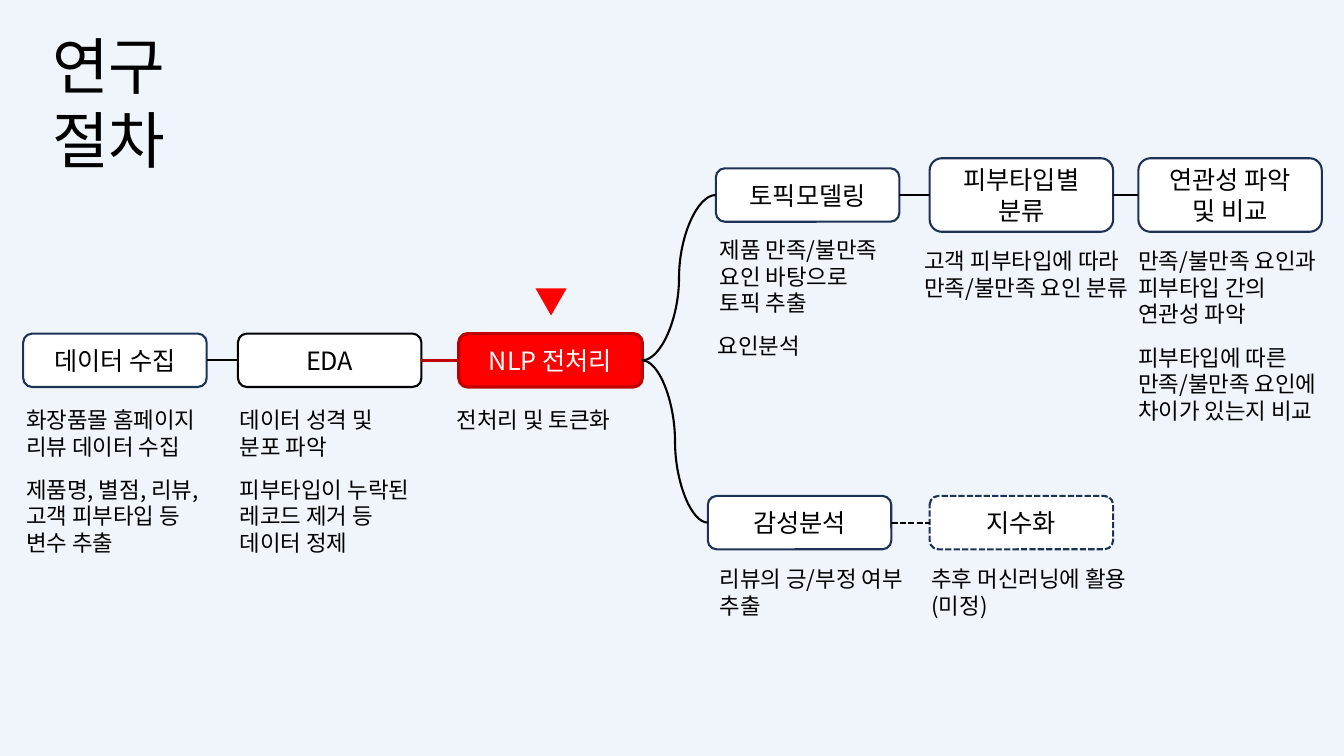
import pptx
import pptx.dml.color
import pptx.enum.dml
import pptx.enum.shapes
import pptx.enum.text
import pptx.oxml
import pptx.oxml.ns
import pptx.util
from pptx.util import Inches

FONT = "Noto Sans CJK KR"
INK, WHITE, NAVY, RED, DARK_RED = "000000", "FFFFFF", "1E3256", "FF0000", "C00000"
STEP_W, STEP_H = 1.82, 0.53
MAIN_Y, TOPIC_Y, SENTIMENT_Y = 3.31, 1.67, 4.92
DASH = pptx.enum.dml.MSO_LINE.SQUARE_DOT
SHAPES = pptx.enum.shapes.MSO_SHAPE
CURVE = pptx.enum.shapes.MSO_CONNECTOR.CURVE
STRAIGHT = pptx.enum.shapes.MSO_CONNECTOR.STRAIGHT

# name: left, top, height, label, formats that differ from the usual step
STEPS = {
    "collect": (0.23, MAIN_Y, STEP_H, "데이터 수집", {}),
    "eda": (2.36, MAIN_Y, STEP_H, "EDA", {"line": INK}),
    "nlp": (4.55, MAIN_Y, STEP_H, "NLP 전처리",
            {"fill": RED, "line": DARK_RED, "width": 2.25, "ink": WHITE}),
    "topic": (7.1, TOPIC_Y, STEP_H, "토픽모델링", {}),
    "skin": (9.22, 1.57, 0.73, "피부타입별\n분류", {}),
    "relation": (11.29, 1.57, 0.73, "연관성 파악\n및 비교", {}),
    "sentiment": (7.02, SENTIMENT_Y, STEP_H, "감성분석", {}),
    "index": (9.22, SENTIMENT_Y, STEP_H, "지수화", {"dash": DASH}),
}

# from, to, kind, formats that differ from the usual link
LINKS = [
    ("collect", "eda", STRAIGHT, {}),
    ("eda", "nlp", STRAIGHT, {"line": DARK_RED, "width": 2.25}),
    ("topic", "skin", STRAIGHT, {}),
    ("skin", "relation", STRAIGHT, {}),
    ("sentiment", "index", STRAIGHT, {"dash": DASH}),
    ("nlp", "topic", CURVE, {}),
    ("nlp", "sentiment", CURVE, {}),
]

# left, top, height, text
NOTES = [
    (0.16, 3.98, 0.64, "화장품몰 홈페이지\n리뷰 데이터 수집"),
    (0.16, 4.67, 0.91, "제품명, 별점, 리뷰, \n고객 피부타입 등 \n변수 추출"),
    (2.28, 3.98, 0.64, "데이터 성격 및\n분포 파악"),
    (2.28, 4.67, 0.91, "피부타입이 누락된\n레코드 제거 등\n데이터 정제"),
    (4.43, 3.98, 0.37, "전처리 및 토큰화"),
    (7.04, 2.29, 0.91, "제품 만족/불만족 \n요인 바탕으로 \n토픽 추출"),
    (7.02, 3.25, 0.37, "요인분석"),
    (9.07, 2.4, 0.64, "고객 피부타입에 따라\n만족/불만족 요인 분류"),
    (11.19, 2.4, 0.91, "만족/불만족 요인과\n피부타입 간의 \n연관성 파악"),
    (11.19, 3.36, 0.91, "피부타입에 따른\n만족/불만족 요인에\n차이가 있는지 비교"),
    (7.04, 5.56, 0.64, "리뷰의 긍/부정 여부 \n추출"),
    (9.14, 5.56, 0.64, "추후 머신러닝에 활용\n(미정)"),
]


def color(value):
    return pptx.dml.color.RGBColor.from_string(value)


def apply(target, formats):
    for name, value in formats.items():
        setattr(target, name, value)


def paint(fill, value):
    fill.solid()
    fill.fore_color.rgb = color(value)


def draw_line(line, formats):
    paint(line.fill, formats["line"])
    line.width = pptx.util.Pt(formats["width"])
    if "dash" in formats:
        line.dash_style = formats["dash"]


def write(paragraph, text, size, ink=INK):
    paragraph.text = text
    for run in paragraph.runs:
        apply(run.font, {"name": FONT, "size": pptx.util.Pt(size)})
        run.font.color.rgb = color(ink)
        # Korean glyphs take the East Asian typeface
        east_asian = pptx.oxml.parse_xml(
            f'<a:ea {pptx.oxml.ns.nsdecls("a")} typeface="{FONT}"/>')
        run.font._element.append(east_asian)
    # Line breaks keep the height of the text around them
    for line_break in paragraph._p.findall(pptx.oxml.ns.qn("a:br")):
        line_break.append(pptx.oxml.parse_xml(
            f'<a:rPr {pptx.oxml.ns.nsdecls("a")} sz="{size * 100}"/>'))


def add_text(slide, left, top, width, height, paragraphs, size):
    box = slide.shapes.add_textbox(
        Inches(left), Inches(top), Inches(width), Inches(height))
    frame = box.text_frame
    apply(frame, {"word_wrap": True,
                  "auto_size": pptx.enum.text.MSO_AUTO_SIZE.SHAPE_TO_FIT_TEXT})
    for number, text in enumerate(paragraphs):
        paragraph = frame.add_paragraph() if number else frame.paragraphs[0]
        write(paragraph, text, size)


def add_step(slide, left, top, height, label, changes):
    formats = {"fill": WHITE, "line": NAVY, "width": 1.5, "ink": INK, **changes}
    step = slide.shapes.add_shape(
        SHAPES.ROUNDED_RECTANGLE,
        Inches(left), Inches(top), Inches(STEP_W), Inches(height))
    step.shadow.inherit = False
    paint(step.fill, formats["fill"])
    draw_line(step.line, formats)
    apply(step.text_frame, {"word_wrap": True,
                            "vertical_anchor": pptx.enum.text.MSO_ANCHOR.MIDDLE})
    paragraph = step.text_frame.paragraphs[0]
    paragraph.alignment = pptx.enum.text.PP_ALIGN.CENTER
    write(paragraph, label, 18, formats["ink"])
    return step


def add_link(slide, source, target, kind, changes):
    link = slide.shapes.add_connector(kind, 0, 0, 0, 0)
    link.begin_connect(source, 3)  # right side
    link.end_connect(target, 1)  # left side
    draw_line(link.line, {"line": INK, "width": 1.5, **changes})
    link._element.spPr.append(pptx.oxml.parse_xml(
        f'<a:effectLst {pptx.oxml.ns.nsdecls("a")}/>'))


def add_current_marker(slide):
    marker = slide.shapes.add_shape(
        SHAPES.ISOSCELES_TRIANGLE,
        Inches(5.31), Inches(2.86), Inches(0.31), Inches(0.27))
    marker.rotation = 180
    marker.shadow.inherit = False
    paint(marker.fill, RED)
    marker.line.fill.background()


def main():
    deck = pptx.Presentation()
    apply(deck, {"slide_width": Inches(13.33), "slide_height": Inches(7.5)})
    slide = deck.slides.add_slide(deck.slide_layouts[6])
    paint(slide.background.fill, "EFF5FB")

    # Title and marker of the current step
    add_text(slide, 0.42, 0.23, 1.94, 1.58, ["연구", "절차"], 44)
    add_current_marker(slide)

    # Notes under the steps
    for left, top, height, text in NOTES:
        add_text(slide, left, top, 2.26, height, [text], 16)

    # Steps and the links between them
    steps = {name: add_step(slide, *values) for name, values in STEPS.items()}
    for source, target, kind, changes in LINKS:
        add_link(slide, steps[source], steps[target], kind, changes)

    deck.save("out.pptx")


if __name__ == "__main__":
    main()
